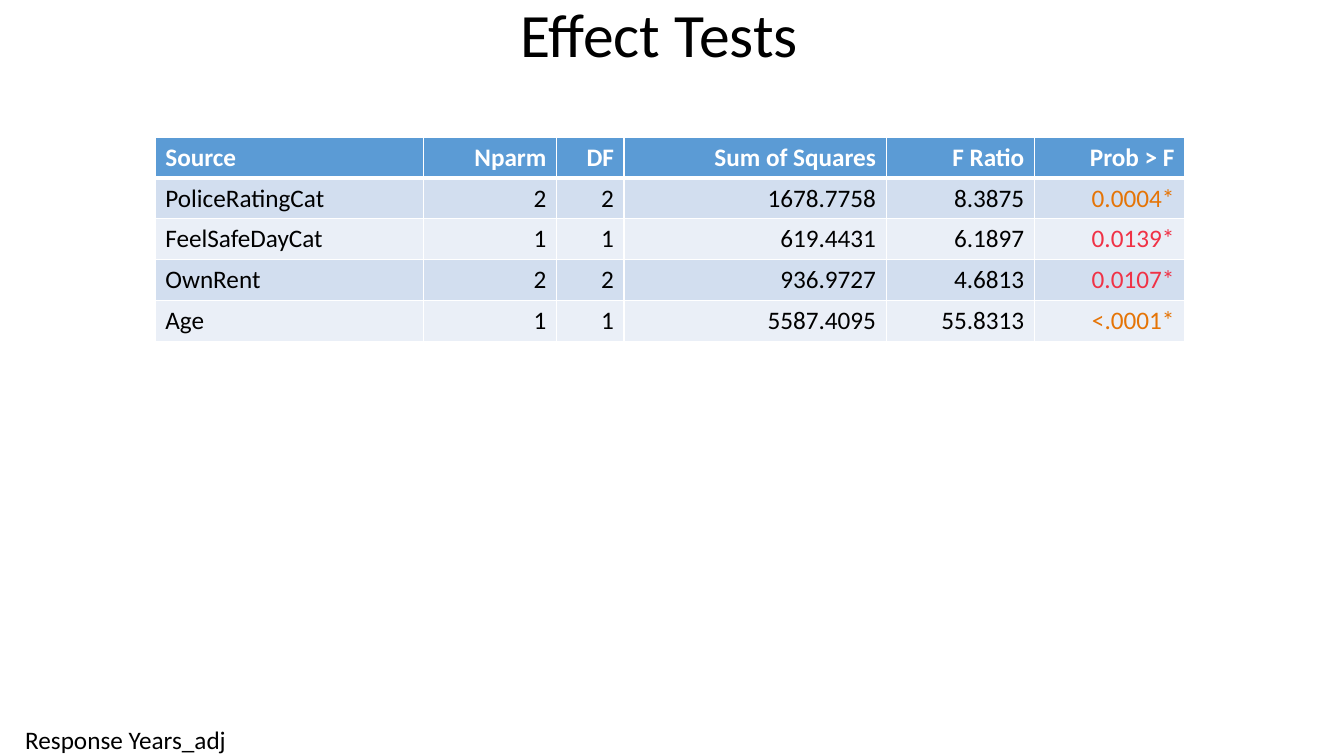
from lxml.etree import SubElement
from pptx import Presentation
from pptx.dml.color import RGBColor
from pptx.enum.text import MSO_ANCHOR as Anchor, PP_ALIGN as Align
from pptx.oxml.ns import qn
from pptx.util import Inches, Pt

FONT = "Calibri"
BLACK = RGBColor(0x00, 0x00, 0x00)
WHITE = RGBColor(0xFF, 0xFF, 0xFF)
BLUE = RGBColor(0x5B, 0x9B, 0xD5)
BANDS = (RGBColor(0xD2, 0xDE, 0xEF), RGBColor(0xEA, 0xEF, 0xF7))
ORANGE = RGBColor(0xE5, 0x74, 0x06)
RED = RGBColor(0xF0, 0x32, 0x46)

COLUMN_WIDTHS = (2.66, 1.32, 0.67, 2.6, 1.47, 1.49)
ROW_HEIGHT = 0.406
HEADER = ("Source", "Nparm", "DF", "Sum of Squares", "F Ratio", "Prob > F")
EFFECTS = (
    ("PoliceRatingCat", "2", "2", "1678.7758", "8.3875", "0.0004*", ORANGE),
    ("FeelSafeDayCat", "1", "1", "619.4431", "6.1897", "0.0139*", RED),
    ("OwnRent", "2", "2", "936.9727", "4.6813", "0.0107*", RED),
    ("Age", "1", "1", "5587.4095", "55.8313", "<.0001*", ORANGE),
)


def add_span(para, text, size=18, color=BLACK, bold=False):
    """Add one formatted run to a paragraph."""
    span = para.add_run()
    span.text = text
    span.font.name = FONT
    span.font.size = Pt(size)
    span.font.bold = bold
    span.font.color.rgb = color


def add_title(page, text):
    """Add the centred slide title."""
    box = page.shapes.add_textbox(0, 0, Inches(13.08), Inches(0.75))
    frame = box.text_frame
    frame.word_wrap = True
    frame.vertical_anchor = Anchor.MIDDLE
    para = frame.paragraphs[0]
    para.alignment = Align.CENTER
    para.line_spacing = 0.9
    add_span(para, text, size=44)


def add_response_label(page, text):
    """Add the unwrapped label in the lower left corner."""
    box = page.shapes.add_textbox(Inches(0.25), Inches(7.19), Inches(2.03), Inches(0.31))
    frame = box.text_frame
    frame.word_wrap = False
    frame.margin_left = frame.margin_right = 0
    frame.margin_top = frame.margin_bottom = 0
    add_span(frame.paragraphs[0], text)


def set_borders(cell, top, bottom):
    """Draw white cell borders with the given top and bottom widths in points."""
    properties = cell._tc.get_or_add_tcPr()
    widths = {"a:lnL": 1, "a:lnR": 1, "a:lnT": top, "a:lnB": bottom}
    for position, (tag, width) in enumerate(widths.items()):
        line = SubElement(properties, qn(tag), w=str(Pt(width)))
        fill = SubElement(line, qn("a:solidFill"))
        SubElement(fill, qn("a:srgbClr"), val=str(WHITE))
        properties.insert(position, line)


def fill_row(table, row, texts, fill, colors, bold=False):
    """Write one table row with its fill, borders and text colours."""
    for column, (text, color) in enumerate(zip(texts, colors)):
        cell = table.cell(row, column)
        cell.fill.solid()
        cell.fill.fore_color.rgb = fill
        set_borders(cell, top=3 if row == 1 else 1, bottom=3 if row == 0 else 1)
        para = cell.text_frame.paragraphs[0]
        para.alignment = Align.RIGHT if column else Align.LEFT
        add_span(para, text, color=color, bold=bold)


def add_effect_table(page):
    """Add the table of effect tests."""
    row_count = len(EFFECTS) + 1
    table = page.shapes.add_table(
        row_count, len(HEADER), Inches(1.54), Inches(1.36),
        Inches(sum(COLUMN_WIDTHS)), Inches(ROW_HEIGHT * row_count),
    ).table
    for column, width in zip(table.columns, COLUMN_WIDTHS):
        column.width = Inches(width)
    fill_row(table, 0, HEADER, BLUE, [WHITE] * len(HEADER), bold=True)
    for row, (*texts, color) in enumerate(EFFECTS, start=1):
        colors = [BLACK] * (len(texts) - 1) + [color]
        fill_row(table, row, texts, BANDS[(row - 1) % 2], colors)


def main():
    """Build and save the slide."""
    deck = Presentation()
    deck.slide_width = Inches(13.33)
    deck.slide_height = Inches(7.5)
    page = deck.slides.add_slide(deck.slide_layouts[6])
    add_response_label(page, "Response Years_adj")
    add_title(page, "Effect Tests")
    add_effect_table(page)
    deck.save("out.pptx")


if __name__ == "__main__":
    main()
